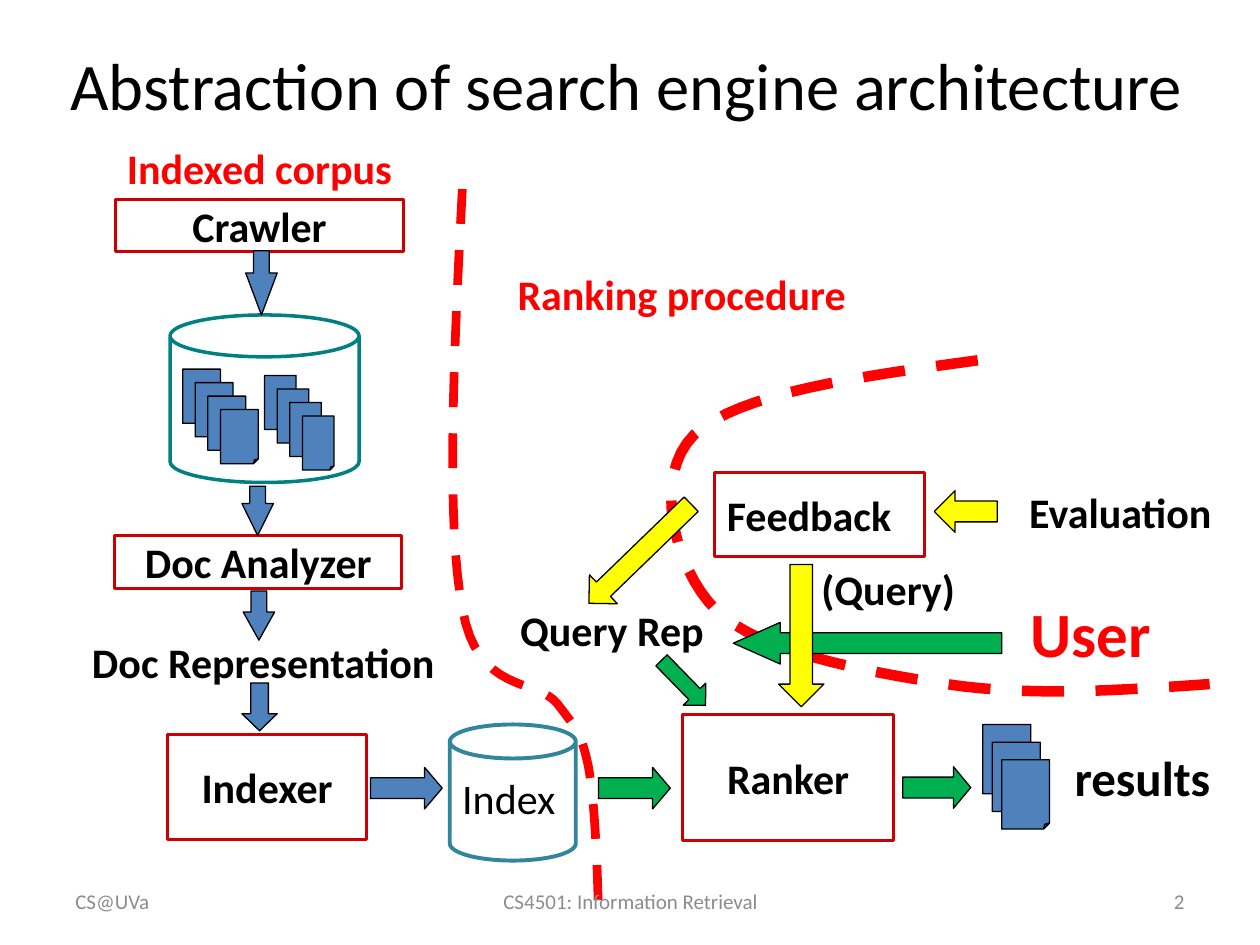
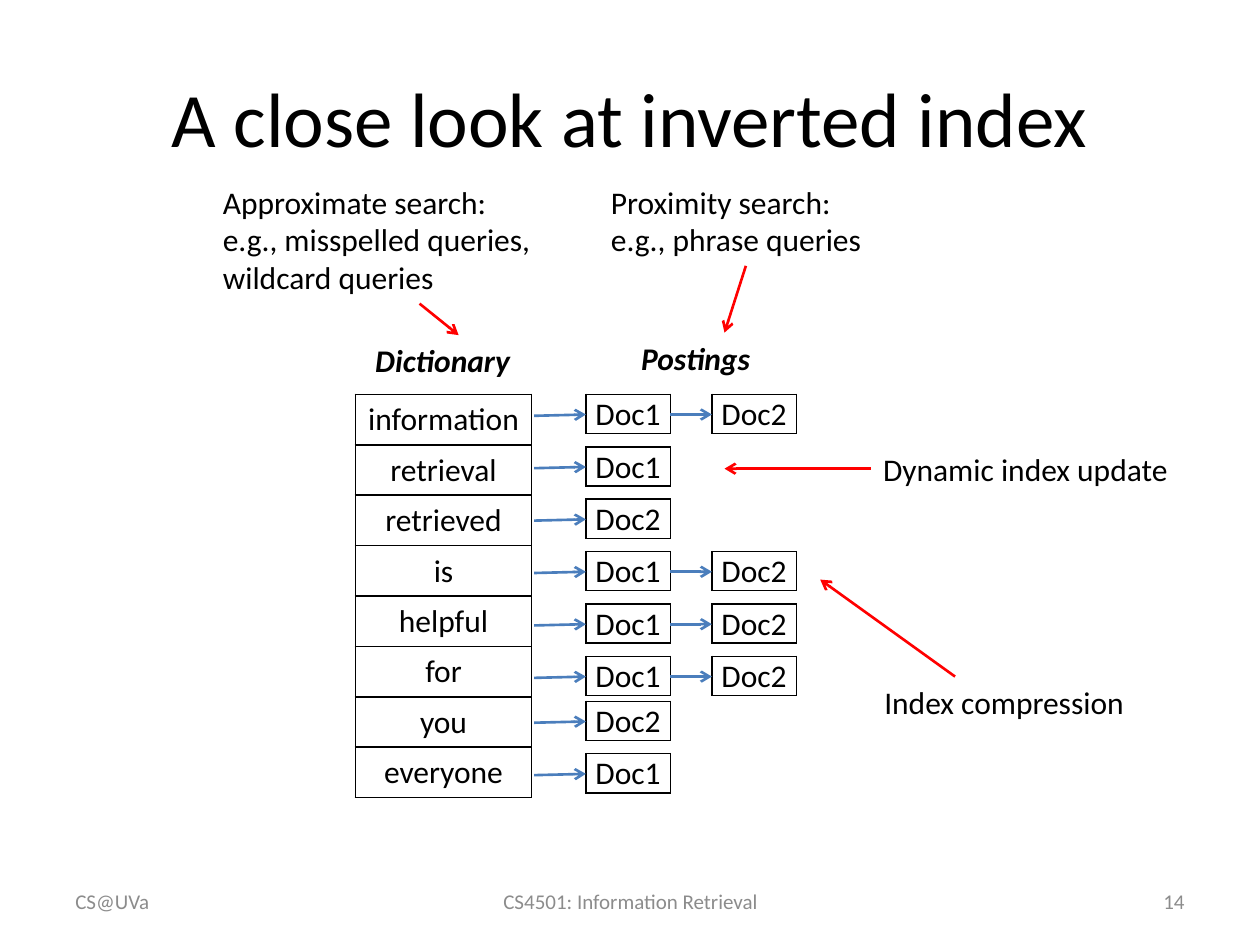
from lxml import etree
from pptx import Presentation
from pptx.dml.color import RGBColor
from pptx.enum.dml import MSO_LINE
from pptx.enum.shapes import MSO_CONNECTOR, MSO_SHAPE as SHAPE
from pptx.enum.text import MSO_ANCHOR as ANCHOR, PP_ALIGN as ALIGN
from pptx.oxml.ns import qn
from pptx.util import Inches, Pt

BLACK = RGBColor(0x00, 0x00, 0x00)
GRAY = RGBColor(0x8C, 0x8C, 0x8C)
RED = RGBColor(0xFF, 0x00, 0x00)
BOX_RED = RGBColor(0xCC, 0x00, 0x00)
BLUE = RGBColor(0x4F, 0x81, 0xBD)
LINK_BLUE = RGBColor(0x4B, 0x7E, 0xBC)
TEAL = RGBColor(0x00, 0x80, 0x80)
INDEX_TEAL = RGBColor(0x31, 0x85, 0x9C)
GREEN = RGBColor(0x00, 0xB0, 0x50)
YELLOW = RGBColor(0xFF, 0xFF, 0x00)
FONT = "Calibri"


# Shared helpers; all lengths are in inches
def box(x, y, w, h):
    return Inches(x), Inches(y), Inches(w), Inches(h)


def write(tf, text, size, color=BLACK, bold=False, italic=False, align=ALIGN.LEFT):
    for i, line in enumerate(text.split("\n")):
        p = tf.add_paragraph() if i else tf.paragraphs[0]
        p.alignment = align
        r = p.add_run()
        r.text = line
        r.font.name, r.font.size = FONT, Pt(size)
        r.font.bold, r.font.italic = bold, italic
        r.font.color.rgb = color


def add_text(s, x, y, w, h, text, size, anchor=ANCHOR.TOP, **style):
    tf = s.shapes.add_textbox(*box(x, y, w, h)).text_frame
    tf.word_wrap = True
    tf.vertical_anchor = anchor
    write(tf, text, size, **style)


def add_label(s, x, y, w, text, size=24, color=BLACK, align=ALIGN.LEFT):
    add_text(s, x, y, w, 0.5, text, size, color=color, bold=True, align=align)


def add_shape(s, kind, x, y, w, h, fill=None, line=BLACK, width=0.75):
    sp = s.shapes.add_shape(kind, *box(x, y, w, h))
    sp.shadow.inherit = False
    if fill is None:
        sp.fill.background()
    else:
        sp.fill.solid()
        sp.fill.fore_color.rgb = fill
    sp.line.color.rgb = line
    sp.line.width = Pt(width)
    return sp


def add_process(s, x, y, w, h, text, align=ALIGN.CENTER):
    sp = add_shape(s, SHAPE.RECTANGLE, x, y, w, h, line=BOX_RED, width=1.75)
    tf = sp.text_frame
    tf.word_wrap = False
    tf.vertical_anchor = ANCHOR.MIDDLE
    write(tf, text, 24, bold=True, align=align)


def add_block_arrow(s, x, y, w, h, fill, head=0.5, turn=0):
    sp = add_shape(s, SHAPE.DOWN_ARROW, x, y, w, h, fill)
    sp.adjustments[0], sp.adjustments[1] = 0.5, head
    sp.rotation = turn


def add_can(s, x, y, w, h, line, width, lid):
    sp = add_shape(s, SHAPE.CAN, x, y, w, h, line=line, width=width)
    sp.adjustments[0] = lid


def add_pages(s, x, y, w, h, count, dx, dy):
    for i in range(count):
        sp = add_shape(s, SHAPE.FOLDED_CORNER, x + i * dx, y + i * dy, w, h, BLUE)
        # The library offers no adjustment for this preset
        for guides in sp._element.iter(qn("a:avLst")):
            etree.SubElement(guides, qn("a:gd"), name="adj", fmla="val 12500")


def add_divider(s, start, curves, width, steps=16):
    """Dashed outline through cubic curves, each given as two controls and an end."""
    points, p0 = [], start
    for p1, p2, p3 in curves:
        for i in range(1, steps + 1):
            t = i / steps
            u = 1 - t
            points.append(tuple(
                Inches(u**3 * a + 3 * u * u * t * b + 3 * u * t * t * c + t**3 * d)
                for a, b, c, d in zip(p0, p1, p2, p3)))
        p0 = p3
    fb = s.shapes.build_freeform(Inches(start[0]), Inches(start[1]))
    fb.add_line_segments(points, close=False)
    sp = fb.convert_to_shape()
    sp.shadow.inherit = False
    sp.fill.background()
    sp.line.color.rgb = RED
    sp.line.width = Pt(width)
    sp.line.dash_style = MSO_LINE.DASH


def add_arrow(s, x1, y1, x2, y2, color):
    c = s.shapes.add_connector(MSO_CONNECTOR.STRAIGHT, Inches(x1), Inches(y1),
                               Inches(x2), Inches(y2))
    c.line.color.rgb = color
    c.line.width = Pt(1.5)
    etree.SubElement(c.line._get_or_add_ln(), qn("a:tailEnd"), type="arrow")
    etree.SubElement(c._element.spPr, qn("a:effectLst"))


def add_column(s, x, y, w, row_h, words):
    """One-column table with thin black borders."""
    frame = s.shapes.add_table(len(words), 1, *box(x, y, w, row_h * len(words)))
    table = frame.table
    table.first_row = table.horz_banding = False
    for i, word in enumerate(words):
        table.rows[i].height = Inches(row_h)
        cell = table.cell(i, 0)
        cell.margin_left = cell.margin_right = cell.margin_top = Inches(0.01)
        cell.margin_bottom = 0
        cell.vertical_anchor = ANCHOR.MIDDLE
        write(cell.text_frame, word, 18, align=ALIGN.CENTER)
        tc_pr = cell._tc.get_or_add_tcPr()
        for side in ("lnL", "lnR", "lnT", "lnB"):
            ln = etree.SubElement(tc_pr, qn(f"a:{side}"), w=str(int(Pt(1))))
            fill = etree.SubElement(ln, qn("a:solidFill"))
            etree.SubElement(fill, qn("a:srgbClr"), val=str(BLACK))
        cell.fill.background()


def new_slide(prs, title, size, area):
    s = prs.slides.add_slide(prs.slide_layouts[5])
    sp = s.shapes.title
    sp.left, sp.top, sp.width, sp.height = box(*area)
    sp.text_frame.vertical_anchor = ANCHOR.MIDDLE
    write(sp.text_frame, title, size, align=ALIGN.CENTER)
    return s


def add_footer(s, number):
    for x, w, text, align in ((0.5, 2.33, "CS@UVa", ALIGN.LEFT),
                              (3.42, 3.17, "CS4501: Information Retrieval", ALIGN.CENTER),
                              (7.17, 2.33, str(number), ALIGN.RIGHT)):
        add_text(s, x, 6.95, w, 0.4, text, 12, anchor=ANCHOR.MIDDLE, color=GRAY, align=align)


# Regions of the architecture slide
def indexing_side(s, x, y):
    add_label(s, x + 0.49, y, 2.67, "Indexed corpus", color=RED)
    add_process(s, x + 0.5, y + 0.5, 2.28, 0.42, "Crawler")
    # Document store
    add_can(s, x + 0.93, y + 1.42, 1.5, 1.33, TEAL, 2, 0.25)
    add_pages(s, x + 1.03, y + 1.85, 0.3, 0.43, 4, 0.1, 0.107)
    add_pages(s, x + 1.68, y + 1.9, 0.25, 0.43, 4, 0.1, 0.107)
    add_block_arrow(s, x + 1.53, y + 0.91, 0.25, 0.51, BLUE, 1.333)
    # Analysis steps
    add_process(s, x + 0.49, y + 3.17, 2.28, 0.42, "Doc Analyzer")
    add_label(s, x - 0.08, y + 3.92, 3.5, "Doc Representation", align=ALIGN.CENTER)
    add_block_arrow(s, x + 1.5, y + 2.78, 0.25, 0.39, BLUE, 1.013)
    add_block_arrow(s, x + 1.51, y + 3.61, 0.25, 0.39, BLUE, 0.893)
    add_block_arrow(s, x + 1.5, y + 4.34, 0.28, 0.38, BLUE, 0.484)
    # Index
    add_process(s, x + 0.91, y + 4.75, 1.58, 0.83, "Indexer")
    add_block_arrow(s, x + 2.64, y + 4.89, 0.33, 0.57, BLUE, 0.426, 270)
    add_can(s, x + 3.15, y + 4.67, 1, 1.08, INDEX_TEAL, 2.25, 0.27)
    add_text(s, x + 3.15, y + 5, 1.06, 0.5, "Index", 24)


def ranking_side(s, x, y):
    add_label(s, x, y, 3.1, "Ranking procedure", color=RED)
    add_process(s, x + 1.41, y + 3.59, 1.67, 1, "Ranker")
    add_block_arrow(s, x + 1.29, y + 3.09, 0.25, 0.5, GREEN, 0.5, 315.7)
    add_block_arrow(s, x + 0.86, y + 3.89, 0.33, 0.57, GREEN, 0.426, 270)
    add_block_arrow(s, x + 3.26, y + 3.9, 0.33, 0.54, GREEN, 0.417, 270)
    add_pages(s, x + 3.79, y + 3.67, 0.38, 0.55, 3, 0.075, 0.14)
    add_label(s, x + 4.42, y + 3.8, 1.4, "results", 28)


def dividers(s):
    add_divider(s, (3.67, 1.5), [
        ((3.6, 2.83), (3.54, 4.15), (3.67, 4.83)),
        ((3.79, 5.51), (4.25, 5.38), (4.42, 5.58)),
        ((4.58, 5.79), (4.61, 5.81), (4.67, 6.08)),
        ((4.72, 6.36), (4.74, 6.81), (4.75, 7.25))], 5)
    add_divider(s, (7.76, 2.86), [
        ((6.81, 2.99), (5.86, 3.12), (5.51, 3.45)),
        ((5.17, 3.78), (5.35, 4.51), (5.68, 4.84)),
        ((6.01, 5.17), (6.86, 5.33), (7.51, 5.43)),
        ((8.17, 5.53), (8.88, 5.48), (9.6, 5.43))], 6)


def user_side(s, x, y):
    # Query
    add_label(s, x, y + 1, 2.22, "Query Rep")
    add_block_arrow(s, x + 2.69, y + 0.29, 0.33, 2.13, GREEN, 1.126, 90)
    add_label(s, x + 2.39, y + 0.67, 2.22, "(Query)")
    add_label(s, x + 4.05, y + 0.92, 1.56, "User", 36, RED)
    # Feedback
    add_label(s, x + 4.04, y + 0.06, 1.75, "Evaluation")
    add_process(s, x + 1.64, y, 1.67, 0.67, "Feedback", ALIGN.LEFT)
    add_block_arrow(s, x + 3.47, y + 0.06, 0.33, 0.5, YELLOW, 0.5, 90)
    add_block_arrow(s, x + 2.15, y + 0.73, 0.36, 1.13, YELLOW)
    add_block_arrow(s, x + 0.89, y + 0.08, 0.32, 1.13, YELLOW, 0.5, 45.9)


def architecture_slide(prs):
    s = new_slide(prs, "Abstraction of search engine architecture", 38,
                  (0.08, 0.08, 9.79, 1.17))
    indexing_side(s, 0.42, 1.08)
    ranking_side(s, 4.01, 2.08)
    dividers(s)
    user_side(s, 4.03, 3.75)
    add_footer(s, 2)


# Regions of the inverted index slide
POSTINGS = (("information", "Doc1", "Doc2"), ("retrieval", "Doc1"), ("retrieved", "Doc2"),
            ("is", "Doc1", "Doc2"), ("helpful", "Doc1", "Doc2"), ("for", "Doc1", "Doc2"),
            ("you", "Doc2"), ("everyone", "Doc1"))


def index_tables(s, x, y):
    for dx, dy, name in ((0.06, -0.47, "Dictionary"), (2.17, -0.49, "Postings")):
        add_text(s, x + dx, y + dy, 1.53, 0.4, name, 18, bold=True, italic=True)
    add_column(s, x, y, 1.4, 0.4, [word for word, *_ in POSTINGS])
    for i, (_, *docs) in enumerate(POSTINGS):
        # The last two rows sit slightly closer to the others
        top = y + i * 0.416 - (0.06 if i > 5 else 0)
        for j, doc in enumerate(docs):
            left = x + 1.83 + j
            add_column(s, left, top, 0.67, 0.31, [doc])
            gap = 0.33 if j else 0.41
            add_arrow(s, left - gap, top + (0.16 if j else 0.17), left, top + 0.16, LINK_BLUE)


def add_note(s, x, y, w, h, text, start, end):
    """Remark with a red arrow; start and end are offsets from its corner."""
    add_text(s, x, y, w, h, text, 18)
    add_arrow(s, x + start[0], y + start[1], x + end[0], y + end[1], RED)


def index_slide(prs):
    s = new_slide(prs, "A close look at inverted index", 44, (0.5, 0.3, 9, 1.25))
    index_tables(s, 2.82, 3.13)
    add_note(s, 1.67, 1.4, 3.32, 1.01,
             "Approximate search:\ne.g., misspelled queries, wildcard queries",
             (1.66, 1.01), (1.97, 1.26))
    add_note(s, 4.75, 1.4, 3.32, 0.71, "Proximity search:\ne.g., phrase queries",
             (1.17, 0.71), (1, 1.24))
    add_note(s, 6.92, 5.37, 2.58, 0.4, "Index compression", (0.66, 0), (-0.41, -0.77))
    add_note(s, 6.91, 3.52, 2.58, 0.4, "Dynamic index update", (0, 0.2), (-1.16, 0.2))
    add_footer(s, 14)


prs = Presentation()
prs.slide_width, prs.slide_height = Inches(10), Inches(7.5)
architecture_slide(prs)
index_slide(prs)
prs.save("out.pptx")
